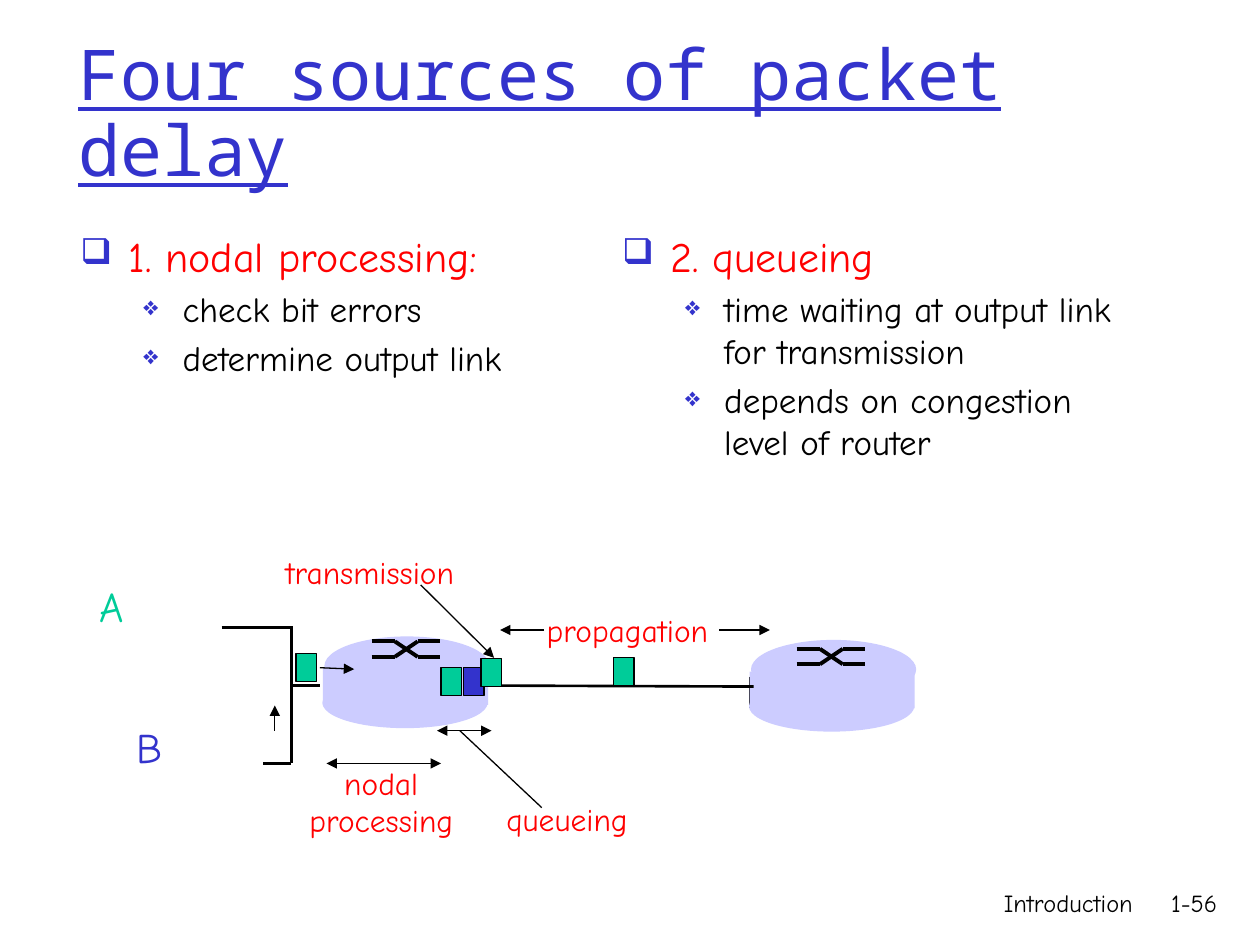
from dataclasses import dataclass

from pptx import Presentation
from pptx.dml.color import RGBColor
from pptx.enum.shapes import MSO_CONNECTOR, MSO_SHAPE
from pptx.enum.text import MSO_ANCHOR, MSO_AUTO_SIZE, PP_ALIGN
from pptx.oxml.xmlchemy import OxmlElement
from pptx.util import Cm, Pt


@dataclass(frozen=True)
class Theme:
    body_font: str = "Comic Neue"
    title_font: str = "Noto Sans Mono"
    blue: str = "3333CC"
    green: str = "00CC99"
    red: str = "FF0000"
    black: str = "000000"
    router: str = "CCCCFF"
    title_size: int = 40
    heading_size: int = 24
    item_size: int = 20
    label_size: int = 18
    footer_size: int = 14
    thin: float = 0.75
    edge: float = 1
    link: float = 1.5
    thick: float = 2.25


THEME = Theme()


def color(value):
    return RGBColor.from_string(value)


def add_child(parent, tag, **attributes):
    child = OxmlElement(tag)
    for name, value in attributes.items():
        child.set(name, value)
    parent.append(child)
    return child


def style_font(paragraph, size, font_color, name=THEME.body_font):
    paragraph.font.name = name
    paragraph.font.size = Pt(size)
    paragraph.font.color.rgb = color(font_color)


def set_title(slide, text):
    title = slide.shapes.title
    title.left, title.top, title.width, title.height = Cm(1.32), Cm(0.74), Cm(21.59), Cm(3.18)
    frame = title.text_frame
    frame.text = text
    frame.auto_size = MSO_AUTO_SIZE.NONE
    frame.vertical_anchor = MSO_ANCHOR.MIDDLE
    paragraph = frame.paragraphs[0]
    paragraph.alignment = PP_ALIGN.LEFT
    paragraph.line_spacing = 0.9
    style_font(paragraph, THEME.title_size, THEME.blue, THEME.title_font)
    paragraph.font.underline = True


def add_label(shapes, text, left, top, width, height, size, font_color,
              alignment=PP_ALIGN.LEFT, wrap=False):
    frame = shapes.add_textbox(Cm(left), Cm(top), Cm(width), Cm(height)).text_frame
    frame.word_wrap = wrap
    frame.text = text
    for paragraph in frame.paragraphs:
        paragraph.alignment = alignment
        style_font(paragraph, size, font_color)


def add_bullet(paragraph, symbol, percent, margin, hanging):
    properties = paragraph._p.get_or_add_pPr()
    properties.set("marL", str(Cm(margin)))
    properties.set("indent", str(-Cm(hanging)))
    bullet_color = add_child(properties, "a:buClr")
    add_child(bullet_color, "a:srgbClr", val=THEME.blue)
    add_child(properties, "a:buSzPct", val=str(percent * 1000))
    add_child(properties, "a:buChar", char=symbol)


def add_column(shapes, left, height, heading, items):
    frame = shapes.add_textbox(Cm(left), Cm(4.52), Cm(10.59), Cm(height)).text_frame
    frame.word_wrap = True
    frame.text = "\n".join([heading, *items])
    first, *others = frame.paragraphs
    add_bullet(first, "❑", 85, 0.97, 0.97)
    style_font(first, THEME.heading_size, THEME.red)
    for paragraph in others:
        paragraph.level = 1
        add_bullet(paragraph, "❖", 75, 2.06, 0.79)
        paragraph.space_before = Pt(4)
        style_font(paragraph, THEME.item_size, THEME.black)


def add_block(shapes, kind, left, top, width, height, fill, outlined=False):
    shape = shapes.add_shape(kind, Cm(left), Cm(top), Cm(width), Cm(height))
    shape.shadow.inherit = False
    shape.fill.solid()
    shape.fill.fore_color.rgb = color(fill)
    if outlined:
        shape.line.color.rgb = color(THEME.black)
        shape.line.width = Pt(THEME.thin)
    else:
        shape.line.fill.background()


def add_packet(shapes, left, top, fill=THEME.green):
    add_block(shapes, MSO_SHAPE.RECTANGLE, left, top, 0.41, 0.56, fill, outlined=True)


def add_line(shapes, start_x, start_y, end_x, end_y, width, ends=()):
    line = shapes.add_connector(MSO_CONNECTOR.STRAIGHT, Cm(start_x), Cm(start_y),
                                Cm(end_x), Cm(end_y))
    line.line.color.rgb = color(THEME.black)
    line.line.width = Pt(width)
    for end in ends:
        add_child(line.line._get_or_add_ln(), f"a:{end}", type="triangle")
    add_child(line._element.spPr, "a:effectLst")


def add_router(slide, left, top, cross_left, cross_top):
    shapes = slide.shapes.add_group_shape().shapes
    for kind, shift, drop, height in (
        (MSO_SHAPE.OVAL, 0, 0.83, 1.02),
        (MSO_SHAPE.RECTANGLE, 0.01, 0.64, 0.74),
        (MSO_SHAPE.OVAL, 0.04, 0, 1.19),
    ):
        add_block(shapes, kind, left + shift, top + drop, 3.33, height, THEME.router)
    upper, lower = cross_top, cross_top + 0.31
    for start, end in ((upper, lower), (lower, upper)):
        points = ((0, start), (0.47, start), (0.93, end), (1.38, end))
        for (start_x, start_y), (end_x, end_y) in zip(points, points[1:]):
            add_line(shapes, cross_left + start_x, start_y, cross_left + end_x, end_y,
                     THEME.thick)


def add_network(slide):
    shapes = slide.shapes
    add_router(slide, 6.5, 12.83, 7.49, 12.93)
    add_line(shapes, 15.11, 13.64, 15.11, 14.27, THEME.edge)
    add_router(slide, 15.1, 12.9, 16.06, 13.08)
    for link in (
        (4.47, 12.65, 5.87, 12.65),
        (5.31, 15.39, 5.87, 15.39),
        (9.8, 13.82, 15.19, 13.84),
        (5.87, 12.62, 5.87, 15.39),
        (5.89, 13.82, 6.45, 13.82),
    ):
        add_line(shapes, *link, THEME.link)
    add_packet(shapes, 12.37, 13.26)
    add_packet(shapes, 8.89, 13.46)
    add_packet(shapes, 9.35, 13.46, THEME.blue)
    add_packet(shapes, 5.97, 13.18)
    add_packet(shapes, 9.7, 13.28)


def add_annotations(slide):
    shapes = slide.shapes
    for arrow in (
        (6.45, 13.46, 7.14, 13.49),
        (5.54, 14.73, 5.54, 14.22),
        (14.5, 12.7, 15.52, 12.7),
        (10.97, 12.7, 10.08, 12.7),
        (8.48, 11.79, 9.96, 13.26),
    ):
        add_line(shapes, *arrow, THEME.thin, ["tailEnd"])
    for span in ((8.89, 15.39, 6.58, 15.39), (9.91, 14.73, 8.81, 14.73)):
        add_line(shapes, *span, THEME.thin, ["headEnd", "tailEnd"])
    add_line(shapes, 10.92, 16.28, 9.27, 14.73, THEME.thin)

    add_label(shapes, "A", 1.75, 11.58, 1.12, 1.27, THEME.heading_size, THEME.green)
    add_label(shapes, "B", 2.51, 14.43, 1.04, 1.27, THEME.heading_size, THEME.blue)
    for text, left, top, width, height, alignment in (
        ("propagation", 10.77, 12.19, 3.96, 1.02, PP_ALIGN.LEFT),
        ("transmission", 5.51, 11.02, 4.22, 1.02, PP_ALIGN.LEFT),
        ("nodal\nprocessing", 5.87, 15.27, 3.63, 1.78, PP_ALIGN.CENTER),
        ("queueing", 9.96, 16, 3.05, 1.02, PP_ALIGN.LEFT),
    ):
        add_label(shapes, text, left, top, width, height, THEME.label_size, THEME.red, alignment)


def main():
    presentation = Presentation()
    presentation.slide_width, presentation.slide_height = Cm(25.4), Cm(19.05)
    slide = presentation.slides.add_slide(presentation.slide_layouts[5])
    set_title(slide, "Four sources of packet delay")
    add_column(slide.shapes, 1.37, 3.73, "1. nodal processing:",
               ["check bit errors", "determine output link"])
    add_column(slide.shapes, 12.29, 5.49, "2. queueing",
               ["time waiting at output link for transmission",
                "depends on congestion level of router"])
    add_network(slide)
    add_annotations(slide)
    for text, left, width in (("Introduction", 15.04, 8.05), ("1-56", 23.06, 1.73)):
        add_label(slide.shapes, text, left, 17.78, width, 1.27, THEME.footer_size,
                  THEME.black, PP_ALIGN.RIGHT, wrap=True)
    presentation.save("out.pptx")


if __name__ == "__main__":
    main()
